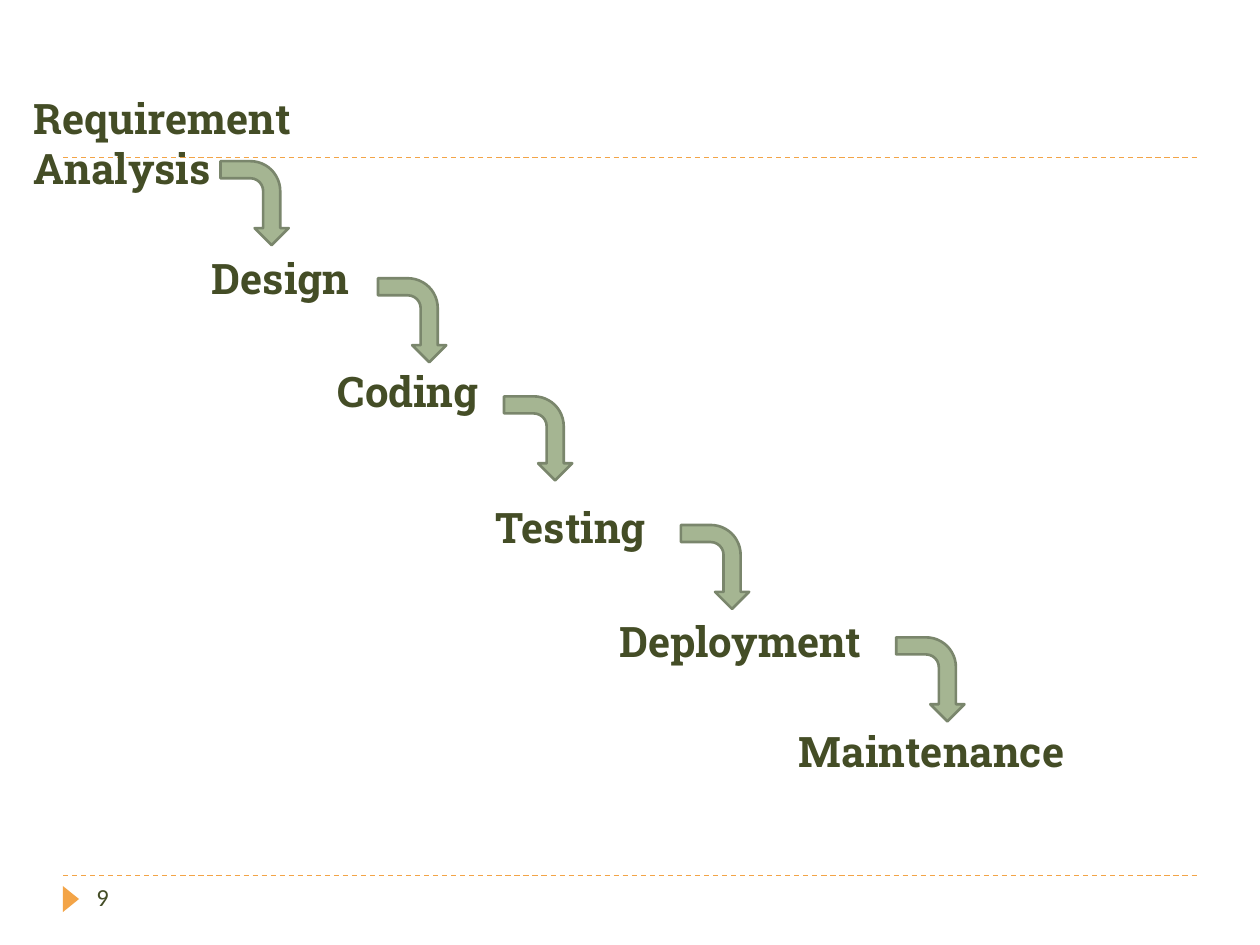
from pptx import Presentation
from pptx.dml.color import RGBColor
from pptx.enum.dml import MSO_LINE as Dash
from pptx.enum.shapes import MSO_CONNECTOR as Link, MSO_SHAPE as Kind
from pptx.enum.text import MSO_ANCHOR as Anchor
from pptx.oxml.ns import qn
from pptx.util import Inches, Pt
from lxml.etree import SubElement

COLS, ROWS = 120, 90  # grid cells of 1/12 inch


def color(code):
    return RGBColor.from_string(code)


class Board:
    ink, amber, sage, edge = "444D26", "F3A447", "A5B592", "7A866C"
    head, body = "Roboto Slab", "Calibri"

    def __init__(self, deck):
        self.cell_w = deck.slide_width / COLS
        self.cell_h = deck.slide_height / ROWS
        self.slide = deck.slides.add_slide(deck.slide_layouts[6])

    def place(self, col, row, wide, high):
        return (round(col * self.cell_w), round(row * self.cell_h),
                round(wide * self.cell_w), round(high * self.cell_h))

    def rule(self, row):
        x, y, wide, _ = self.place(6, row, 108, 0)
        line = self.slide.shapes.add_connector(
            Link.STRAIGHT, x, y, x + wide, y)
        line.line.color.rgb = color(self.amber)
        line.line.width = Pt(0.75)
        line.line.dash_style = Dash.DASH
        SubElement(line._element.spPr, qn("a:effectLst"))

    def shape(self, kind, area, fill, edge=None):
        item = self.slide.shapes.add_shape(kind, *self.place(*area))
        item.rotation = 90
        item.shadow.inherit = False
        item.fill.solid()
        item.fill.fore_color.rgb = color(fill)
        if edge:
            item.line.color.rgb = color(edge)
            item.line.width = Pt(1.5)
        else:
            item.line.fill.background()

    def text(self, words, area, size, face, bold=False,
             anchor=Anchor.TOP, foot=0.05):
        box = self.slide.shapes.add_textbox(*self.place(*area))
        frame = box.text_frame
        frame.word_wrap = True
        frame.vertical_anchor = anchor
        frame.margin_bottom = Inches(foot)
        para = frame.paragraphs[0]
        para.text = words
        font = para.font
        font.name, font.size, font.bold = face, Pt(size), bold
        font.color.rgb = color(self.ink)

    def stage(self, words, col, row, foot):
        self.text(words, (col, row, 34, 13), 24, self.head, True,
                  Anchor.BOTTOM, foot)

    def arrow(self, col, row):
        self.shape(Kind.BENT_ARROW, (col, row, 8, 6.5), self.sage, self.edge)


# Stage name, its column and row, its bottom inset
STAGES = [
    ("Requirement Analysis", 2, 6, 0.05),
    ("Design", 19, 21.25, 0.45),
    ("Coding", 31, 32, 0.45),
    ("Testing", 46, 45, 0.45),
    ("Deployment", 57.8, 55.8, 0.45),
    ("Maintenance", 74.9, 66.25, 0.45),
]
ARROWS = [(20.25, 16.1), (35.25, 27.25), (47.25, 38.5),
          (64.1, 50.75), (84.6, 61.45)]


def main():
    deck = Presentation()
    deck.slide_width, deck.slide_height = Inches(10), Inches(7.5)
    board = Board(deck)

    # Dashed rules and page marker
    for row in (83.4, 15):
        board.rule(row)
    board.shape(Kind.ISOSCELES_TRIANGLE, (5.5, 84.85, 2.5, 1.55), board.amber)

    # Waterfall stages, then the arrows between them
    for stage in STAGES:
        board.stage(*stage)
    for spot in ARROWS:
        board.arrow(*spot)

    # Page number
    board.text("9", (8, 83.4, 26, 4.8), 14, board.body)
    deck.save("out.pptx")


if __name__ == "__main__":
    main()
